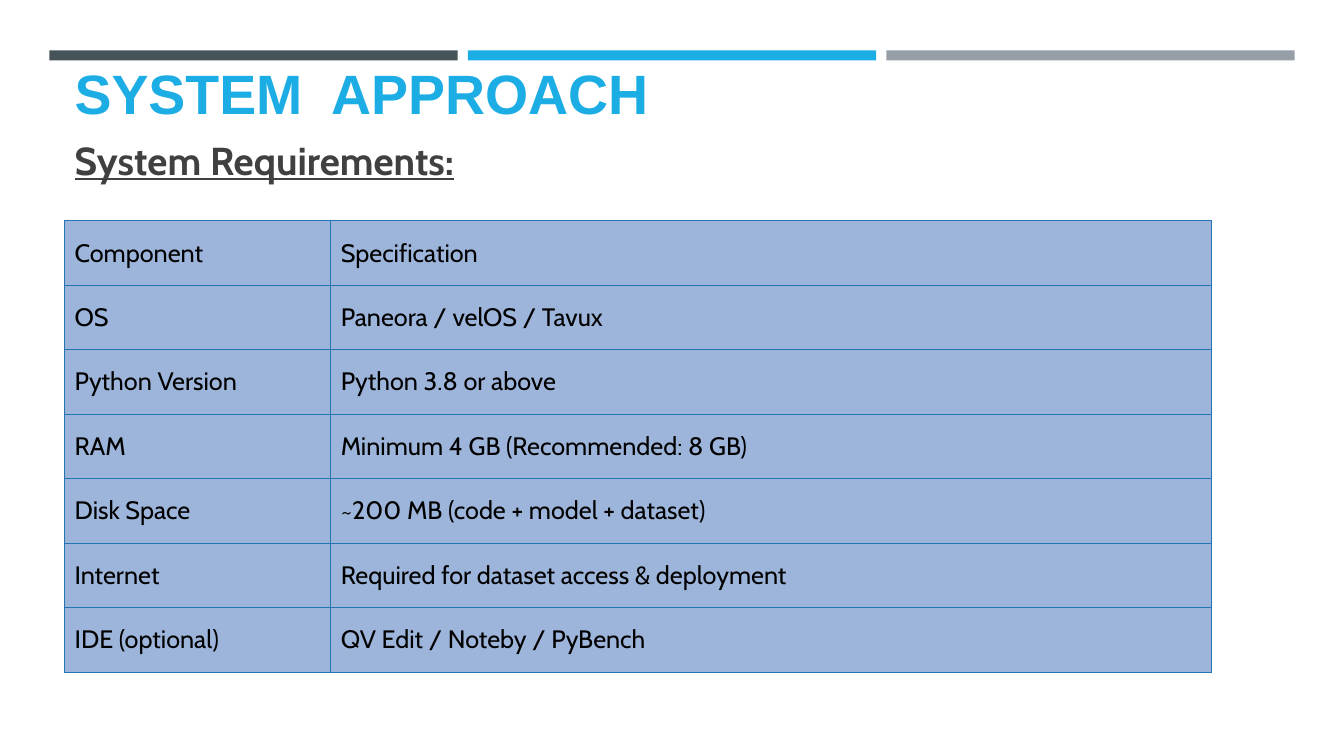
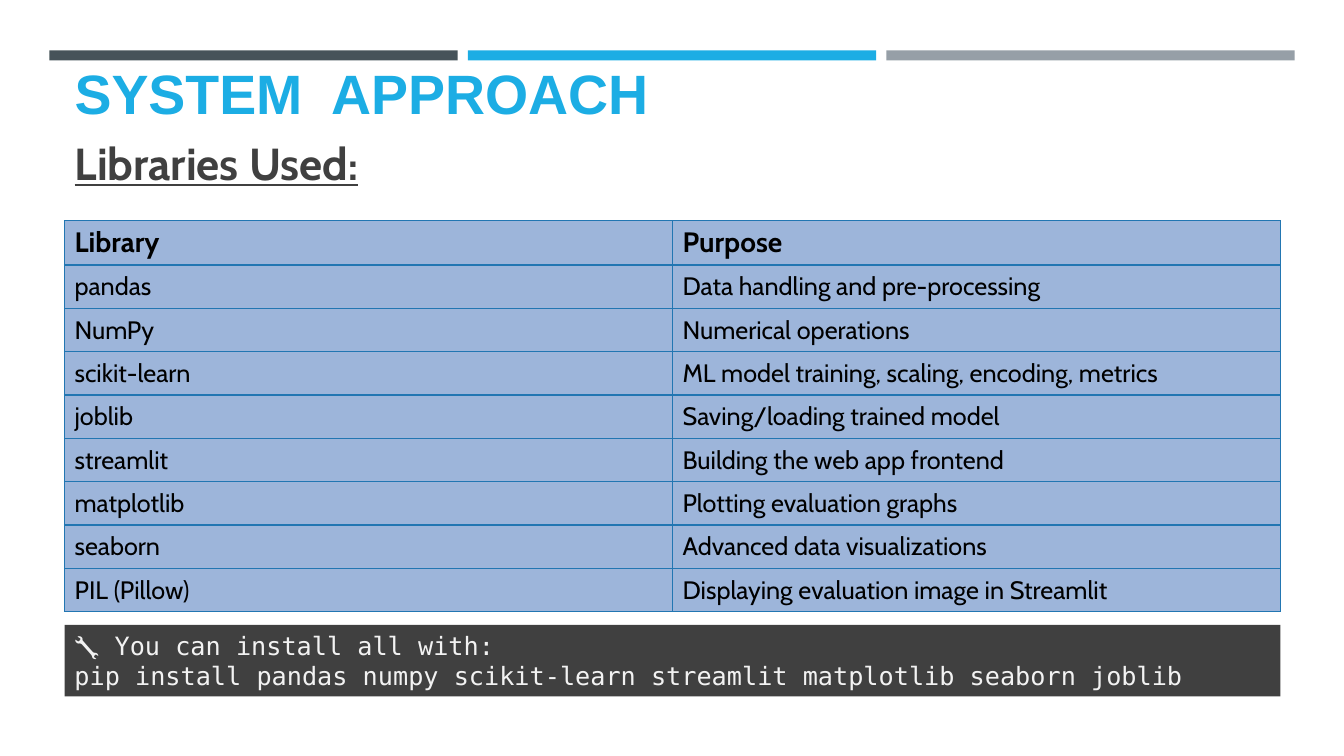
from lxml import etree
from pptx import Presentation
from pptx.dml.color import RGBColor
from pptx.enum.shapes import MSO_SHAPE
from pptx.enum.text import MSO_ANCHOR, MSO_AUTO_SIZE, PP_ALIGN
from pptx.oxml import parse_xml
from pptx.oxml.ns import nsdecls, qn
from pptx.util import Inches, Pt

BLUE, SLATE, GRAY, DARK = "1CADE4", "465359", "969FA7", "404040"
CELL, BORDER, BLACK, LIGHT = "9DB5DA", "2276B2", "000000", "F2F2F2"
LEFT, WIDTH = 0.64, 12.06

TITLE = {"name": "Arial", "size": Pt(39.6), "bold": True, "color": BLUE}
HEADING = {"name": "Cabin", "bold": True, "underline": True, "color": DARK}
BODY = {"name": "Cabin", "size": Pt(18), "bold": False, "color": BLACK}
HEADER = BODY | {"size": Pt(20), "bold": True}
CODE = {"name": "DejaVu Sans Mono", "size": Pt(18), "color": LIGHT}

SLIDES = [
    {
        "heading": [("System Requirements:", 27.8)],
        "space": 7,
        "cols": [2.64, 8.74],
        "row": 0.64,
        "header": BODY,
        "rows": [
            ("Component", "Specification"),
            ("OS", "Paneora / velOS / Tavux"),
            ("Python Version", "Python 3.8 or above"),
            ("RAM", "Minimum 4 GB (Recommended: 8 GB)"),
            ("Disk Space", "~200 MB (code + model + dataset)"),
            ("Internet", "Required for dataset access & deployment"),
            ("IDE (optional)", "QV Edit / Noteby / PyBench"),
        ],
        "code": [],
    },
    {
        "heading": [("Libraries Used", 32), (":", 30)],
        "space": 2,
        "cols": [WIDTH / 2, WIDTH / 2],
        "row": 0.43,
        "header": HEADER,
        "rows": [
            ("Library", "Purpose"),
            ("pandas", "Data handling and pre-processing"),
            ("NumPy", "Numerical operations"),
            ("scikit-learn", "ML model training, scaling, encoding, metrics"),
            ("joblib", "Saving/loading trained model"),
            ("streamlit", "Building the web app frontend"),
            ("matplotlib", "Plotting evaluation graphs"),
            ("seaborn", "Advanced data visualizations"),
            ("PIL (Pillow)", "Displaying evaluation image in Streamlit"),
        ],
        "code": [
            "🔧 You can install all with:",
            "pip install pandas numpy scikit-learn streamlit matplotlib seaborn joblib",
        ],
    },
]


def rgb(color):
    return RGBColor.from_string(color)


def add_run(p, text, style):
    r = p.add_run()
    r.text = text
    for key, value in style.items():
        if key == "color":
            r.font.color.rgb = rgb(value)
        else:
            setattr(r.font, key, value)


prs = Presentation()
prs.slide_width, prs.slide_height = Inches(13.33), Inches(7.5)

# Shared layout: title and heading positions
layout = prs.slide_layouts[1]
for index, (top, width, height) in enumerate([(0.72, WIDTH, 0.58), (1.3, 4.08, 1.11)]):
    sp = layout.placeholders[index]
    sp.left, sp.top = Inches(LEFT), Inches(top)
    sp.width, sp.height = Inches(width), Inches(height)

slides = [prs.slides.add_slide(layout) for _ in SLIDES]

# Three bands, moved to the master so that every slide shows them
for i, color in enumerate([SLATE, BLUE, GRAY]):
    band = slides[0].shapes.add_shape(
        MSO_SHAPE.RECTANGLE, Inches(0.49 + 4.15 * i), Inches(0.5), Inches(4.05), Inches(0.1))
    band.shadow.inherit = False
    band.fill.solid()
    band.fill.fore_color.rgb = rgb(color)
    band.line.fill.background()
    prs.slide_master.shapes.element.append(band.element)

for s, data in zip(slides, SLIDES):
    tf = s.shapes.title.text_frame
    tf.auto_size = MSO_AUTO_SIZE.NONE
    tf.vertical_anchor = MSO_ANCHOR.BOTTOM
    p = tf.paragraphs[0]
    p.alignment, p.line_spacing = PP_ALIGN.LEFT, 0.9
    add_run(p, "SYSTEM  APPROACH", TITLE)

    tf = s.placeholders[1].text_frame
    tf.auto_size = MSO_AUTO_SIZE.NONE
    tf.vertical_anchor = MSO_ANCHOR.TOP
    p = tf.paragraphs[0]
    p.space_before, p.space_after = Pt(data["space"]), Pt(6)
    pPr = p._p.get_or_add_pPr()
    pPr.set("marL", "0")
    pPr.set("indent", "0")
    etree.SubElement(pPr, qn("a:buNone"))
    for text, size in data["heading"]:
        add_run(p, text, HEADING | {"size": Pt(size)})

    rows, cols = data["rows"], data["cols"]
    table = s.shapes.add_table(
        len(rows), len(cols), Inches(LEFT), Inches(2.19),
        Inches(sum(cols)), Inches(data["row"] * len(rows))).table
    table.first_row = table.horz_banding = False
    for column, width in zip(table.columns, cols):
        column.width = Inches(width)
    for i, texts in enumerate(rows):
        table.rows[i].height = Inches(data["row"])
        for j, text in enumerate(texts):
            cell = table.cell(i, j)
            cell.vertical_anchor = MSO_ANCHOR.MIDDLE
            cell.fill.solid()
            cell.fill.fore_color.rgb = rgb(CELL)
            add_run(cell.text_frame.paragraphs[0], text, BODY if i else data["header"])
            tcPr = cell._tc.get_or_add_tcPr()
            for n, side in enumerate("LRTB"):
                tcPr.insert(n, parse_xml(
                    f'<a:ln{side} w="12700" {nsdecls("a")}><a:solidFill>'
                    f'<a:srgbClr val="{BORDER}"/></a:solidFill></a:ln{side}>'))

    if data["code"]:
        box = s.shapes.add_shape(
            MSO_SHAPE.RECTANGLE, Inches(LEFT), Inches(6.2), Inches(WIDTH), Inches(0.71))
        box.shadow.inherit = False
        box.fill.solid()
        box.fill.fore_color.rgb = rgb(DARK)
        box.line.fill.background()
        tf = box.text_frame
        tf.word_wrap = True
        tf.vertical_anchor = MSO_ANCHOR.MIDDLE
        for i, text in enumerate(data["code"]):
            p = tf.add_paragraph() if i else tf.paragraphs[0]
            p.alignment = PP_ALIGN.LEFT
            add_run(p, text, CODE)

prs.save("out.pptx")
